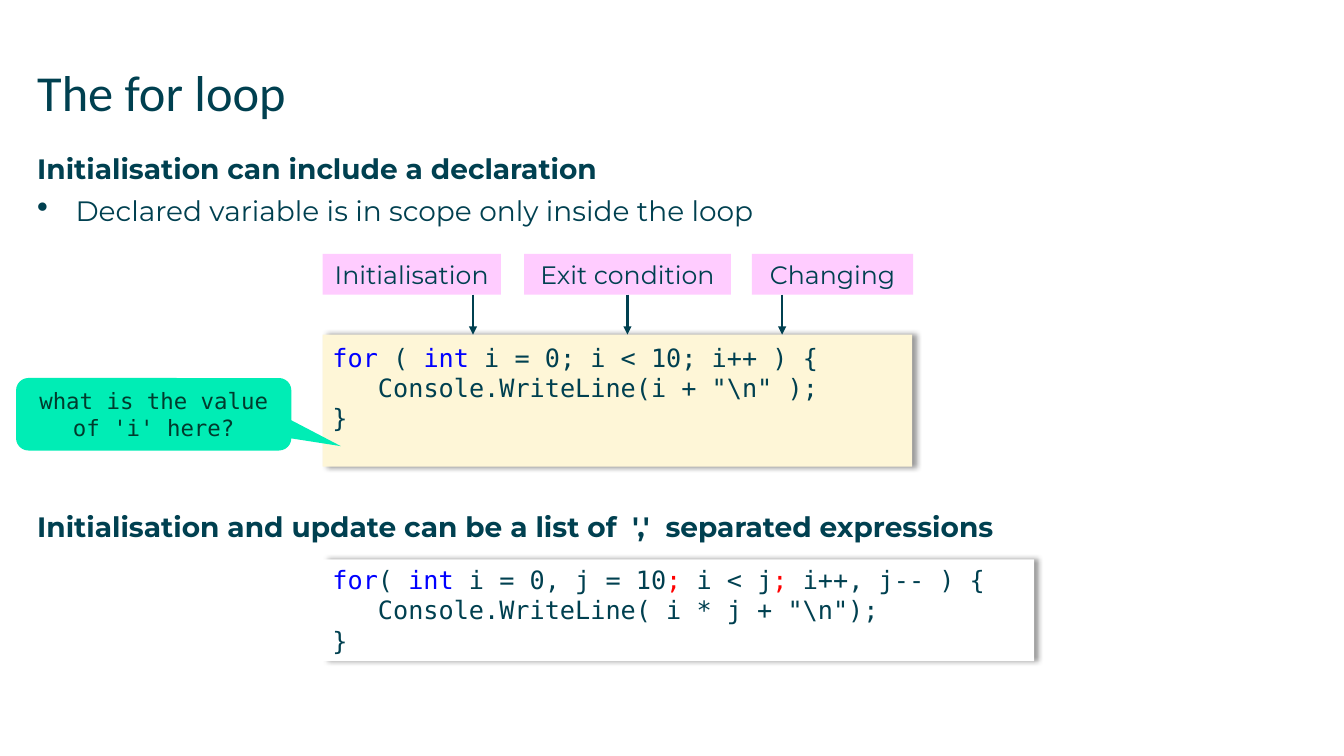
from pptx import Presentation
from pptx.dml.color import RGBColor
from pptx.enum.shapes import MSO_CONNECTOR, MSO_SHAPE
from pptx.enum.text import MSO_ANCHOR, PP_ALIGN
from pptx.oxml import parse_xml
from pptx.oxml.ns import nsdecls
from pptx.util import Pt

HUES = {
    "ink": "004050", "key": "0000FF", "mark": "FF0000", "cream": "FEF6D7",
    "white": "FFFFFF", "pink": "FFCCFF", "mint": "00EDB5", "deep": "003B2D",
}
SANS, MONO = "Montserrat", "DejaVu Sans Mono"
LEFT, WIDE = 26.6, 906.5
CODE_X = 230.4


def hue(name):
    return RGBColor.from_string(HUES[name])


def pts(box):
    return [Pt(n) for n in box]


def add_xml(node, text):
    node.append(parse_xml(text.replace(" _ns", " " + nsdecls("a"), 1)))


def add_run(para, text, size, face=SANS, tone="ink", bold=False):
    run = para.add_run()
    run.text = text
    font = run.font
    font.size, font.name, font.bold = Pt(size), face, bold
    font.color.rgb = hue(tone)


def set_frame(frame, inset, anchor=MSO_ANCHOR.TOP, wrap=True):
    """Set the margins (side, top), anchor and wrapping of a text frame."""
    side, top = inset
    frame.margin_left = frame.margin_right = Pt(side)
    frame.margin_top = frame.margin_bottom = Pt(top)
    frame.vertical_anchor = anchor
    frame.word_wrap = wrap


def add_text(slide, box):
    frame = slide.shapes.add_textbox(*pts(box)).text_frame
    set_frame(frame, (0, 0))
    return frame


def add_block(slide, kind, box, fill):
    block = slide.shapes.add_shape(kind, *pts(box))
    block.shadow.inherit = False
    block.fill.solid()
    block.fill.fore_color.rgb = hue(fill)
    block.line.fill.background()
    return block


def add_title(slide, box, text):
    add_run(add_text(slide, box).paragraphs[0], text, 36, "Calibri")


def add_points(slide, box, head, points=()):
    """Write a bold heading with bullets under it."""
    frame = add_text(slide, box)
    para = frame.paragraphs[0]
    para.space_after = Pt(6.5)
    add_run(para, head, 20, bold=True)
    for point in points:
        para = frame.add_paragraph()
        para.space_after = Pt(6.5)
        props = para._p.get_or_add_pPr()
        props.set("marL", str(Pt(27.4)))
        props.set("indent", str(-Pt(27.4)))
        add_xml(props, '<a:buSzPct _ns val="115000"/>')
        add_xml(props, '<a:buChar _ns char="•"/>')
        add_run(para, point, 20)


def add_code(slide, box, fill, lines, top=3.6):
    """Draw a shadowed panel; each line is a list of (text, tone)."""
    panel = add_block(slide, MSO_SHAPE.RECTANGLE, box, fill)
    props = panel._element.spPr
    props.remove(props.find("{*}effectLst"))
    add_xml(props, f'<a:effectLst _ns><a:outerShdw blurRad="{Pt(4)}" '
            f'dist="{Pt(3)}" dir="0" algn="ctr" rotWithShape="0">'
            '<a:srgbClr val="000000"><a:alpha val="40000"/></a:srgbClr>'
            '</a:outerShdw></a:effectLst>')
    frame = panel.text_frame
    set_frame(frame, (7.2, top), wrap=False)
    for row, line in enumerate(lines):
        para = frame.add_paragraph() if row else frame.paragraphs[0]
        para.alignment = PP_ALIGN.LEFT
        for text, tone in line:
            add_run(para, text, 18, MONO, tone)


def add_label(slide, box, text):
    label = add_block(slide, MSO_SHAPE.RECTANGLE, box, "pink")
    set_frame(label.text_frame, (7.2, 3.6), MSO_ANCHOR.MIDDLE, False)
    para = label.text_frame.paragraphs[0]
    para.alignment = PP_ALIGN.CENTER
    add_run(para, text, 18)
    return label


def add_arrow(slide, x, top, end):
    arrow = slide.shapes.add_connector(
        MSO_CONNECTOR.STRAIGHT, *pts((x, top, x, end)))
    arrow.line.color.rgb = hue("ink")
    arrow.line.width = Pt(1.5)
    add_xml(arrow.line._get_or_add_ln(), '<a:tailEnd _ns type="triangle"/>')
    add_xml(arrow._element.spPr, "<a:effectLst _ns/>")
    return arrow


def add_parts(slide, box):
    """Label the three parts of the loop head, with arrows down the box."""
    left, top, _, high = box
    tall = 29
    parts = [("Initialisation", 0, 127.4, 107.5),
             ("Exit condition", 144, 147.6, 217.8),
             ("Changing", 306.7, 115.2, 328.3)]
    for text, shift, wide, tip in parts:
        label = add_label(slide, (left + shift, top, wide, tall), text)
        arrow = add_arrow(slide, left + tip, top + tall, top + high)
        if tip == shift + wide / 2:
            arrow.begin_connect(label, 2)


def add_callout(slide, box, text):
    bubble = add_block(slide, MSO_SHAPE.ROUNDED_RECTANGULAR_CALLOUT,
                       box, "mint")
    for spot, value in enumerate((0.68, 0.44, 0.17)):
        bubble.adjustments[spot] = value
    set_frame(bubble.text_frame, (7.2, 3.6), MSO_ANCHOR.MIDDLE)
    para = bubble.text_frame.paragraphs[0]
    para.alignment = PP_ALIGN.CENTER
    add_run(para, text, 16, MONO, "deep")


def main():
    deck = Presentation()
    deck.slide_width, deck.slide_height = Pt(960), Pt(540)
    slide = deck.slides.add_slide(deck.slide_layouts[6])

    add_title(slide, (LEFT, 43.9, WIDE, 63.4), "The for loop")
    add_points(slide, (LEFT, 108, WIDE, 60),
               "Initialisation can include a declaration",
               ["Declared variable is in scope only inside the loop"])
    add_code(slide, (CODE_X, 239, 421.2, 94.3), "cream", [
        [("for", "key"), (" ( ", "ink"), ("int ", "key"),
         ("i = 0; i < 10; i++ ) {", "ink")],
        [('   Console.WriteLine(i + "\\n" );', "ink")],
        [("}", "ink")],
    ], top=5.2)
    add_code(slide, (CODE_X, 399.6, 508.3, 72.7), "white", [
        [("for", "key"), ("( ", "ink"), ("int ", "key"),
         ("i = 0, j = 10", "ink"), ("; ", "mark"), ("i < j", "ink"),
         ("; ", "mark"), ("i++, j-- ) {", "ink")],
        [('   Console.WriteLine( i * j + "\\n");', "ink")],
        [("}", "ink")],
    ])
    add_parts(slide, (CODE_X, 181.4, 421.9, 57.6))
    add_points(slide, (LEFT, 363.6, WIDE, 40),
               "Initialisation and update can be a list of  ','  "
               "separated expressions")
    add_callout(slide, (11.5, 270, 196.6, 51.8),
                "what is the value of 'i' here?")
    deck.save("out.pptx")


if __name__ == "__main__":
    main()
